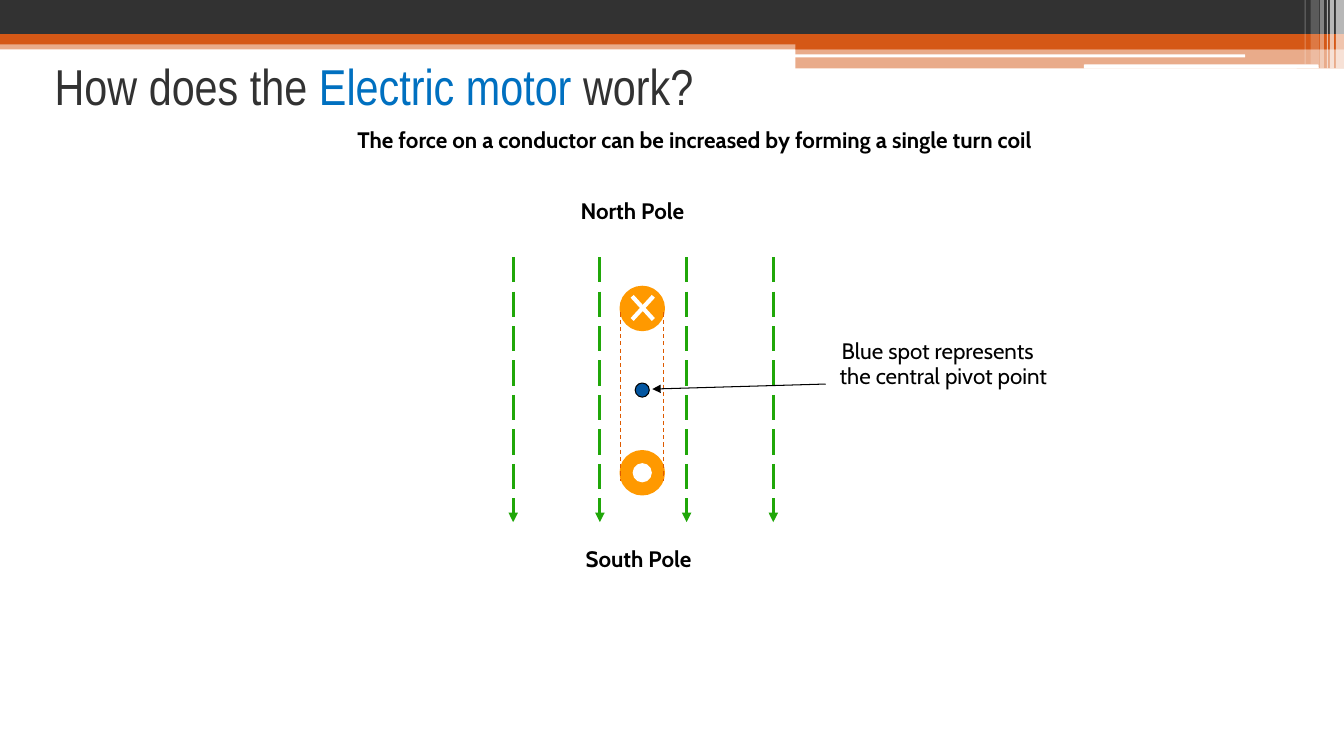
from dataclasses import dataclass
from typing import Optional

from lxml.etree import SubElement
from pptx import Presentation
from pptx.dml.color import RGBColor
from pptx.enum.dml import MSO_LINE
from pptx.enum.shapes import MSO_CONNECTOR, MSO_SHAPE
from pptx.enum.text import PP_ALIGN
from pptx.oxml.ns import qn
from pptx.util import Emu, Pt

EMU_PER_PX = 9144  # 100 px to the inch

WHITE = RGBColor(0xFF, 0xFF, 0xFF)
BLACK = RGBColor(0x00, 0x00, 0x00)
CHARCOAL = RGBColor(0x32, 0x32, 0x32)
RUST = RGBColor(0xD5, 0x58, 0x16)
COIL_ORANGE = RGBColor(0xFF, 0x99, 0x00)
COIL_EDGE = RGBColor(0xDE, 0x5A, 0x00)
FIELD_GREEN = RGBColor(0x20, 0xA7, 0x09)
PIVOT_BLUE = RGBColor(0x03, 0x56, 0xA1)
TITLE_BLUE = RGBColor(0x00, 0x70, 0xC0)


@dataclass
class Band:
    left: int
    top: int
    width: int
    height: int
    color: RGBColor
    opacity: int = 100
    rounded: bool = False


@dataclass
class Disc:
    left: int
    top: int
    diameter: int
    fill: RGBColor
    outline: RGBColor
    weight: float


@dataclass
class Line:
    start: tuple[int, int]
    end: tuple[int, int]
    color: RGBColor
    weight: float
    dash: Optional[MSO_LINE] = None
    arrow: bool = False


@dataclass
class Label:
    left: int
    top: int
    width: int
    height: int
    pieces: list[tuple[str, RGBColor]]
    bold: bool = False
    centered: bool = False
    font: str = "Cabin"
    size: int = 16
    margin: int = 9
    indent: int = 2


BANDS = [
    Band(0, 40, 1333, 9, RUST, 50),
    Band(0, 0, 1333, 34, CHARCOAL),
    Band(0, 34, 1333, 10, RUST),
    Band(789, 39, 544, 10, RUST),
    Band(789, 48, 544, 20, RUST, 50),
    Band(788, 54, 447, 3, WHITE, rounded=True),
    Band(1075, 64, 233, 4, WHITE, rounded=True),
    Band(1325, 0, 8, 68, WHITE, 65),
    Band(1319, 0, 4, 68, WHITE, 65),
    Band(1316, 0, 1, 68, WHITE, 60),
    Band(1309, 0, 4, 68, WHITE, 40),
    Band(1300, 0, 8, 64, WHITE, 20),
    Band(1294, 0, 1, 64, WHITE, 30),
]

DISCS = [
    Disc(616, 285, 42, COIL_ORANGE, COIL_ORANGE, 2.25),
    Disc(616, 448, 42, COIL_ORANGE, COIL_ORANGE, 2.25),
    Disc(628, 460, 18, WHITE, WHITE, 0.75),
    Disc(630, 380, 14, PIVOT_BLUE, BLACK, 0.75),
]

CURRENT_CROSS = [
    Line((648, 294), (627, 317), WHITE, 3),
    Line((648, 317), (627, 294), WHITE, 3),
]
FIELD_LINES = [
    Line((x, 255), (x, 518), FIELD_GREEN, 2.25, MSO_LINE.LONG_DASH, True)
    for x in range(509, 768, 86)
]
COIL_SIDES = [
    Line((x, 310), (x, 477), COIL_EDGE, 0.75, MSO_LINE.DASH) for x in (615, 658)
]
PIVOT_POINTER = Line((819, 381), (647, 386), BLACK, 0.75, arrow=True)

LABELS = [
    Label(202, 123, 963, 45,
          [("The force on a conductor can be increased by forming a single turn coil", BLACK)],
          bold=True, centered=True),
    Label(814, 333, 254, 138, [("Blue spot represents the central pivot point", BLACK)]),
    Label(555, 194, 160, 33, [("North Pole", BLACK)], bold=True),
    Label(560, 539, 160, 33, [("South Pole", BLACK)], bold=True),
    Label(-5, 57, 752, 75,
          [("How does the ", CHARCOAL), ("Electric motor ", TITLE_BLUE), ("work?", CHARCOAL)],
          centered=True, font="Arial Narrow", size=36, margin=38, indent=-38),
]


def px(length: int) -> Emu:
    return Emu(length * EMU_PER_PX)


def add_band(slide, band: Band) -> None:
    kind = MSO_SHAPE.ROUNDED_RECTANGLE if band.rounded else MSO_SHAPE.RECTANGLE
    shape = slide.shapes.add_shape(
        kind, px(band.left), px(band.top), px(band.width), px(band.height))
    shape.shadow.inherit = False
    shape.fill.solid()
    shape.fill.fore_color.rgb = band.color
    shape.line.fill.background()
    if band.opacity < 100:
        color = shape.fill._xPr.find(".//" + qn("a:srgbClr"))
        SubElement(color, qn("a:alpha"), val=str(band.opacity * 1000))


def add_disc(slide, disc: Disc) -> None:
    shape = slide.shapes.add_shape(
        MSO_SHAPE.OVAL, px(disc.left), px(disc.top), px(disc.diameter), px(disc.diameter))
    shape.shadow.inherit = False
    shape.fill.solid()
    shape.fill.fore_color.rgb = disc.fill
    shape.line.color.rgb = disc.outline
    shape.line.width = Pt(disc.weight)


def add_line(slide, line: Line) -> None:
    connector = slide.shapes.add_connector(
        MSO_CONNECTOR.STRAIGHT, *map(px, line.start + line.end))
    connector.line.color.rgb = line.color
    connector.line.width = Pt(line.weight)
    if line.dash is not None:
        connector.line.dash_style = line.dash
    if line.arrow:
        SubElement(connector.line._get_or_add_ln(), qn("a:tailEnd"), type="triangle")
    SubElement(connector._element.spPr, qn("a:effectLst"))


def add_label(slide, label: Label) -> None:
    box = slide.shapes.add_textbox(
        px(label.left), px(label.top), px(label.width), px(label.height))
    box.text_frame.word_wrap = True
    paragraph = box.text_frame.paragraphs[0]
    properties = paragraph._p.get_or_add_pPr()
    properties.set("marL", str(px(label.margin)))
    properties.set("indent", str(px(label.indent)))
    paragraph.alignment = PP_ALIGN.CENTER if label.centered else PP_ALIGN.LEFT
    paragraph.line_spacing = 0.9
    for text, color in label.pieces:
        run = paragraph.add_run()
        run.text = text
        run.font.name = label.font
        run.font.size = Pt(label.size)
        run.font.bold = label.bold
        run.font.color.rgb = color


def main() -> None:
    presentation = Presentation()
    presentation.slide_width, presentation.slide_height = px(1333), px(750)
    slide = presentation.slides.add_slide(presentation.slide_layouts[6])
    for band in BANDS:
        add_band(slide, band)
    for disc in DISCS:
        add_disc(slide, disc)
    for line in [*CURRENT_CROSS, *FIELD_LINES, *COIL_SIDES, PIVOT_POINTER]:
        add_line(slide, line)
    for label in LABELS:
        add_label(slide, label)
    presentation.save("out.pptx")


if __name__ == "__main__":
    main()
